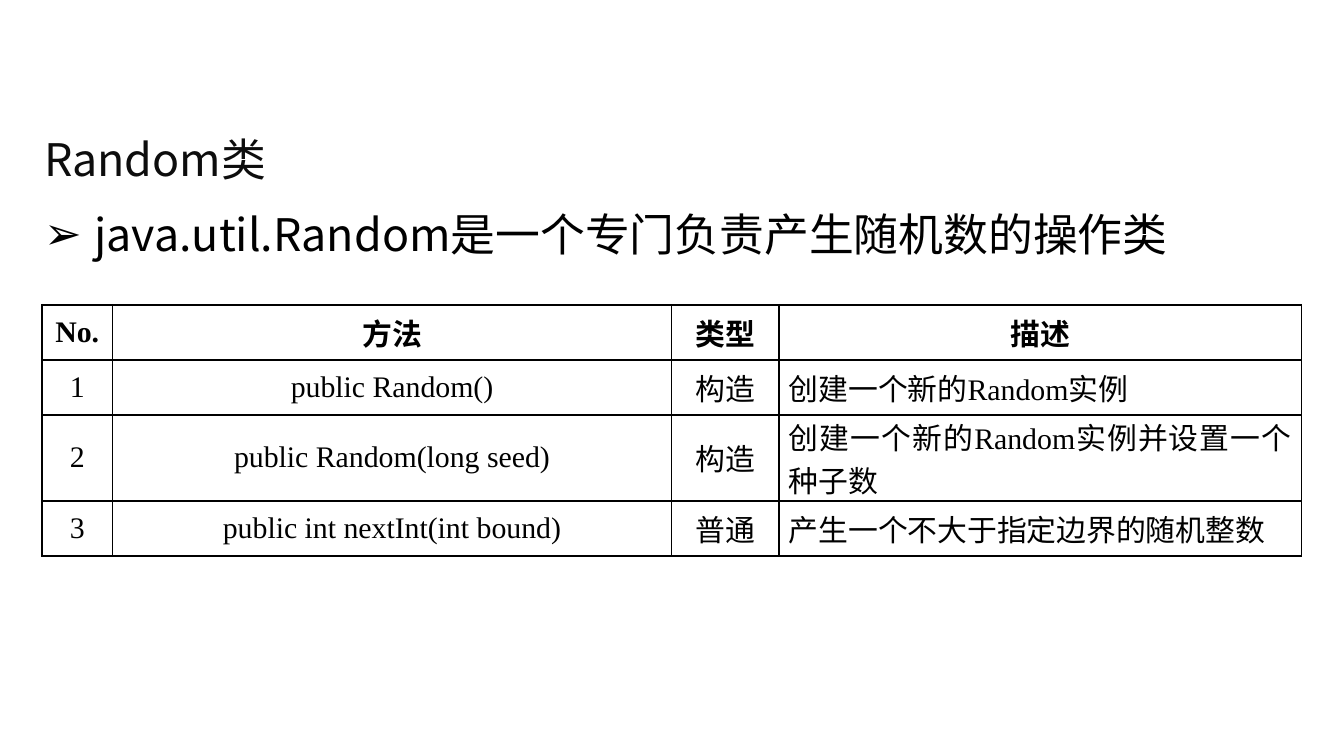
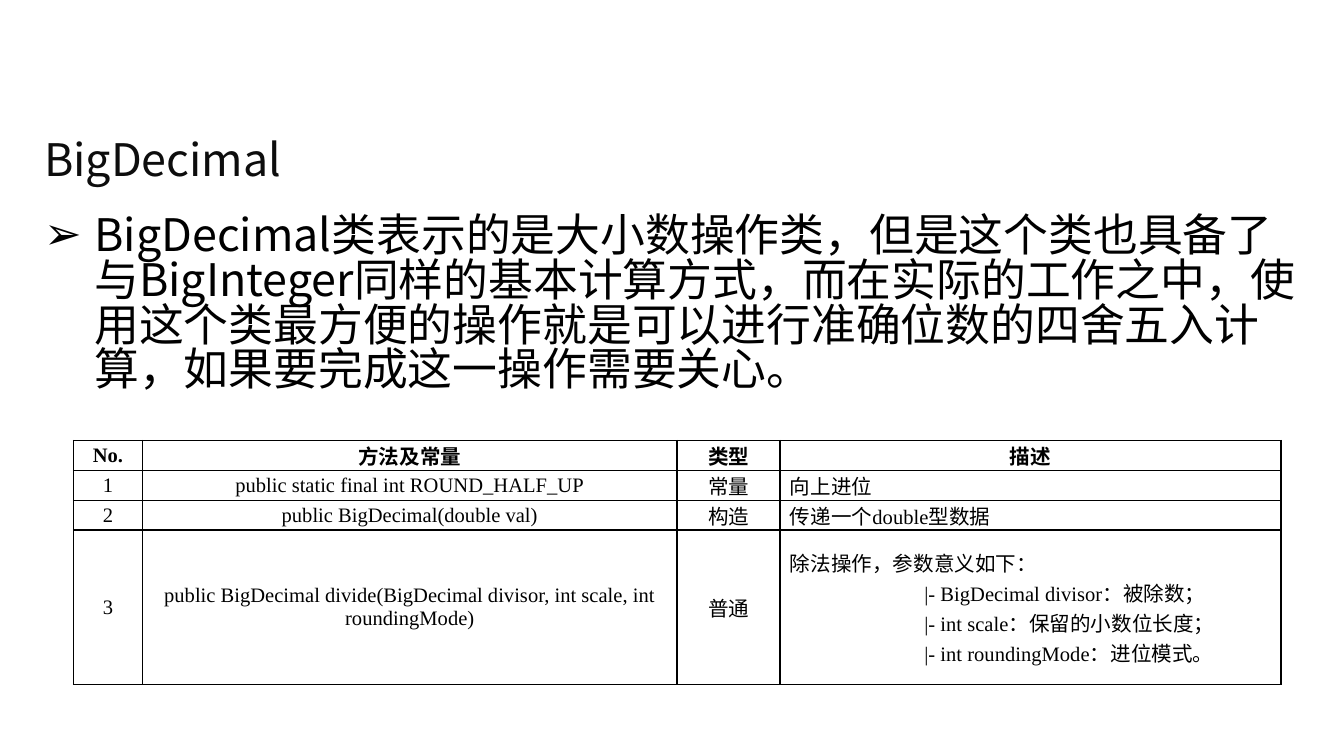
from dataclasses import dataclass

from lxml.etree import SubElement
from pptx import Presentation
from pptx.dml.color import RGBColor
from pptx.enum.text import MSO_ANCHOR as Anchor, MSO_AUTO_SIZE as AutoSize, PP_ALIGN as Align
from pptx.oxml.ns import qn
from pptx.util import Cm, Pt


@dataclass(frozen=True)
class Theme:
    ink: str = "000000"
    title_ink: str = "0D0D0D"
    heading_font: str = "Noto Sans CJK SC"
    table_font: str = "Times New Roman"
    heading_size: int = 24
    method_size: int = 16
    compact_size: int = 11
    border: float = 1


class Deck:
    left, width = Cm(0.58), Cm(24.21)
    cell_inset = Cm(0.19)

    def __init__(self, theme):
        self.theme = theme
        self.presentation = Presentation()
        self.presentation.slide_width = Cm(25.4)
        self.presentation.slide_height = Cm(14.29)
        self.slide = None

    def add_slide(self, heading, statement):
        layout = self.presentation.slide_layouts[1]
        self.slide = self.presentation.slides.add_slide(layout)
        self.title(heading)
        self.bullet(statement)

    def style(self, paragraph, family, size, color, bold=False):
        font = paragraph.font
        font.name = family
        font.size = Pt(size)
        font.bold = bold
        font.color.rgb = RGBColor.from_string(color)
        defaults = paragraph._p.pPr.find(qn("a:defRPr"))
        SubElement(defaults, qn("a:ea"), typeface=self.theme.heading_font)

    def place(self, holder, top, height, text, anchor):
        holder.left, holder.top = self.left, top
        holder.width, holder.height = self.width, height
        frame = holder.text_frame
        frame.auto_size = AutoSize.NONE
        frame.vertical_anchor = anchor
        frame.text = text
        paragraph = frame.paragraphs[0]
        paragraph.alignment = Align.LEFT
        return paragraph

    def title(self, text):
        heading = self.place(self.slide.shapes.title, Cm(2.18), Cm(1.63), text, Anchor.MIDDLE)
        self.style(heading, self.theme.heading_font, self.theme.heading_size, self.theme.title_ink)

    def bullet(self, text):
        statement = self.place(self.slide.placeholders[1], Cm(3.96), Cm(8.94), text, Anchor.TOP)
        statement.line_spacing = 0.83
        properties = statement._p.get_or_add_pPr()
        properties.set("marL", str(Cm(0.95)))
        properties.set("indent", str(-Cm(0.95)))
        SubElement(properties, qn("a:buChar"), char="➢")
        self.style(statement, self.theme.heading_font, self.theme.heading_size, self.theme.ink)

    def table(self, left, top, widths, heights, rows, size):
        frame = self.slide.shapes.add_table(
            len(rows), len(widths), Cm(left), Cm(top), Cm(sum(widths)), Cm(sum(heights)))
        grid = frame.table
        grid.first_row = grid.horz_banding = False
        for column, width in zip(grid.columns, widths):
            column.width = Cm(width)
        for row, height in zip(grid.rows, heights):
            row.height = Cm(height)
        for i, row in enumerate(rows):
            for j, text in enumerate(row):
                is_description = i > 0 and j == len(row) - 1
                alignment = Align.JUSTIFY if is_description else Align.CENTER
                self.cell(grid.cell(i, j), text, size, alignment, bold=i == 0)

    def cell(self, cell, text, size, alignment, bold):
        cell.margin_left = cell.margin_right = self.cell_inset
        cell.margin_top = cell.margin_bottom = 0
        cell.vertical_anchor = Anchor.MIDDLE
        self.borders(cell)
        cell.fill.background()
        cell.text_frame.text = text
        for paragraph in cell.text_frame.paragraphs:
            paragraph.alignment = alignment
            if paragraph.text.startswith("\t"):
                stops = SubElement(paragraph._p.get_or_add_pPr(), qn("a:tabLst"))
                SubElement(stops, qn("a:tab"), pos=str(Cm(2.54)), algn="l")
            self.style(paragraph, self.theme.table_font, size, self.theme.ink, bold)

    def borders(self, cell):
        properties = cell._tc.get_or_add_tcPr()
        for side in ("lnL", "lnR", "lnT", "lnB"):
            edge = SubElement(properties, qn(f"a:{side}"), w=str(Pt(self.theme.border)))
            fill = SubElement(edge, qn("a:solidFill"))
            SubElement(fill, qn("a:srgbClr"), val=self.theme.ink)

    def save(self):
        self.presentation.save("out.pptx")


RANDOM_METHODS = [
    ("No.", "方法", "类型", "描述"),
    ("1", "public Random()", "构造", "创建一个新的Random实例"),
    ("2", "public Random(long seed)", "构造", "创建一个新的Random实例并设置一个种子数"),
    ("3", "public int nextInt(int bound)", "普通", "产生一个不大于指定边界的随机整数"),
]

DIVISION_NOTES = "\n".join([
    "除法操作，参数意义如下：",
    "\t|- BigDecimal divisor：被除数；",
    "\t|- int scale：保留的小数位长度；",
    "\t|- int roundingMode：进位模式。",
])

DECIMAL_METHODS = [
    ("No.", "方法及常量", "类型", "描述"),
    ("1", "public static final int ROUND_HALF_UP", "常量", "向上进位"),
    ("2", "public BigDecimal(double val)", "构造", "传递一个double型数据"),
    ("3", "public BigDecimal divide(BigDecimal divisor, int scale, int roundingMode)",
     "普通", DIVISION_NOTES),
]


def main():
    theme = Theme()
    deck = Deck(theme)

    deck.add_slide("Random类", "java.util.Random是一个专门负责产生随机数的操作类")
    deck.table(0.79, 5.76, [1.34, 10.56, 2.03, 9.88], [1.04] * 4,
               RANDOM_METHODS, theme.method_size)

    deck.add_slide(
        "BigDecimal",
        "BigDecimal类表示的是大小数操作类，但是这个类也具备了与BigInteger同样的基本计算方式，"
        "而在实际的工作之中，使用这个类最方便的操作就是可以进行准确位数的四舍五入计算，"
        "如果要完成这一操作需要关心。")
    deck.table(1.39, 8.33, [1.3, 10.11, 1.94, 9.47], [0.48] * 3 + [2.92],
               DECIMAL_METHODS, theme.compact_size)

    deck.save()


if __name__ == "__main__":
    main()
